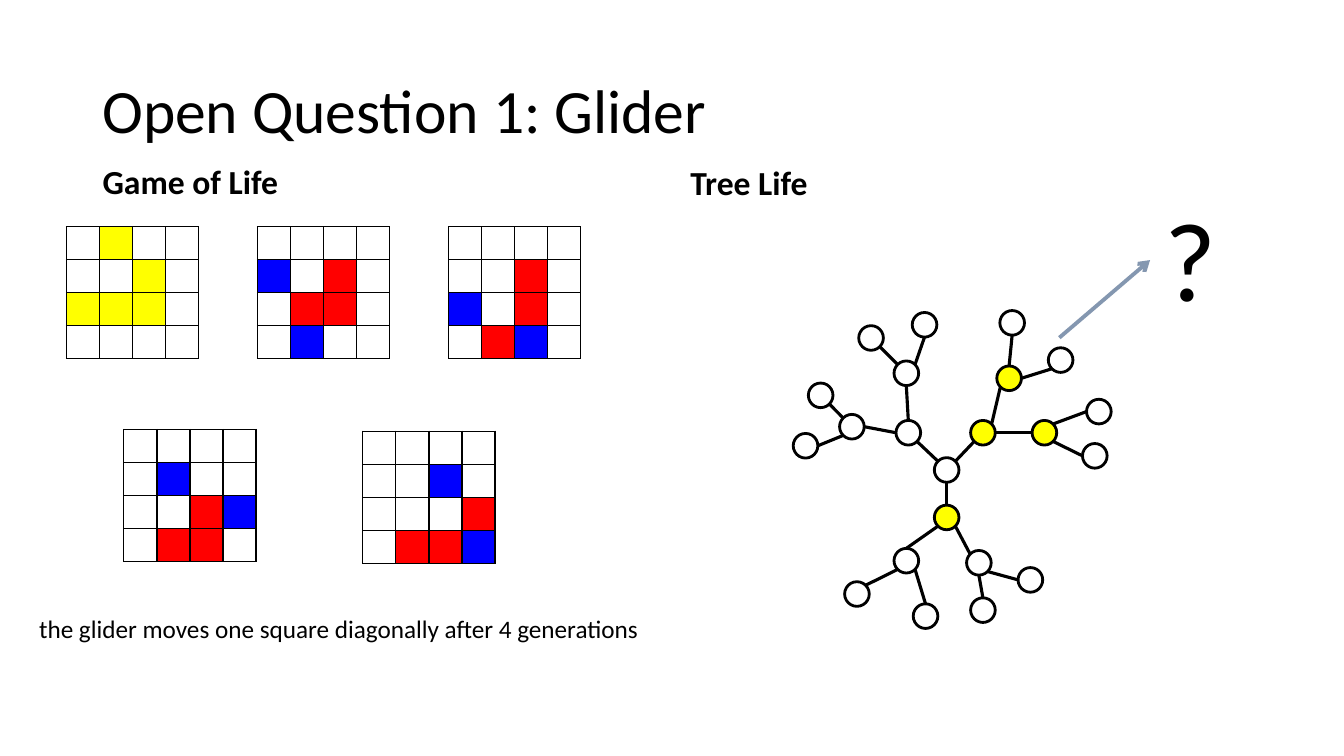
from math import cos, radians, sin

from lxml import etree
from pptx import Presentation
from pptx.dml.color import RGBColor
from pptx.enum.shapes import MSO_CONNECTOR, MSO_SHAPE
from pptx.enum.text import MSO_ANCHOR
from pptx.oxml.ns import qn
from pptx.util import Pt

STRAIGHT = MSO_CONNECTOR.STRAIGHT
OVAL = MSO_SHAPE.OVAL
TOP, MIDDLE, BOTTOM = MSO_ANCHOR.TOP, MSO_ANCHOR.MIDDLE, MSO_ANCHOR.BOTTOM

COLORS = {
    "black": "000000",
    "white": "FFFFFF",
    "alive": "FFFF00",
    "born": "FF0000",
    "died": "0000FF",
    "arrow": "8497B0",
}
FONT = "Calibri"
CELL = 23.6
NODE = 17.6

CELL_STATES = {".": "white", "Y": "alive", "R": "born", "B": "died"}

# Left, top and rows of each generation
TOP_ROW = [
    (".Y..", "..Y.", "YYY.", "...."),
    ("....", "B.R.", ".RR.", ".B.."),
    ("....", "..R.", "B.R.", ".RB."),
]
GENERATIONS = [(136.5 * i, 0, rows) for i, rows in enumerate(TOP_ROW)] + [
    (41, 144.7, ("....", ".B..", "..RB", ".RR.")),
    (211.7, 146, ("....", "..B.", "...R", ".RRB")),
]

# Left and top of each node
TREE_NODES = {
    "root": (100.8, 105.1),
    "trunk": (100.8, 139),
    "left": (73.4, 78.5),
    "left up": (72, 36),
    "left up a": (46.8, 10.8),
    "left up b": (85, 1.4),
    "left out": (33.1, 74.2),
    "left out a": (10.8, 51.8),
    "left out b": (0, 87.8),
    "right": (126.7, 78.5),
    "right up": (145.4, 39.6),
    "right up a": (147.6, 0),
    "right up b": (182.2, 26.6),
    "right out": (170.6, 78.5),
    "right out a": (209.5, 63.4),
    "right out b": (206.6, 95),
    "low left": (72, 169.9),
    "low left a": (36.7, 193.7),
    "low left b": (85.7, 209.5),
    "low right": (123.8, 171.4),
    "low right a": (160.6, 183.6),
    "low right b": (126.7, 205.2),
}
ALIVE_NODES = {"trunk", "right", "right up", "right out"}

# Parent, side it leaves from, child, side it reaches
TREE_EDGES = [
    ("root", "nw", "left", "se"),
    ("root", "ne", "right", "sw"),
    ("root", "s", "trunk", "n"),
    ("left", "n", "left up", "s"),
    ("left", "w", "left out", "e"),
    ("right", "ne", "right up", "sw"),
    ("right", "e", "right out", "w"),
    ("trunk", "sw", "low left", "n"),
    ("trunk", "se", "low right", "nw"),
    ("left up", "nw", "left up a", "se"),
    ("left up", "ne", "left up b", "s"),
    ("left out", "nw", "left out a", "se"),
    ("left out", "sw", "left out b", "e"),
    ("right up", "n", "right up a", "s"),
    ("right up", "e", "right up b", "sw"),
    ("right out", "ne", "right out a", "w"),
    ("right out", "se", "right out b", "w"),
    ("low left", "sw", "low left a", "ne"),
    ("low left", "se", "low left b", "n"),
    ("low right", "se", "low right a", "w"),
    ("low right", "s", "low right b", "n"),
]
SIDES = ["e", "se", "s", "sw", "w", "nw", "n", "ne"]


def rgb(name):
    return RGBColor.from_string(COLORS[name])


def add_text(slide, box, words, size, bold=False, anchor=TOP, wrap=True,
             line_spacing=1.0, before=0):
    frame = slide.shapes.add_textbox(*map(Pt, box)).text_frame
    frame.word_wrap = wrap
    frame.vertical_anchor = anchor
    paragraph = frame.paragraphs[0]
    paragraph.line_spacing = line_spacing
    paragraph.space_before = Pt(before)
    run = paragraph.add_run()
    run.text = words
    run.font.name = FONT
    run.font.size = Pt(size)
    run.font.bold = bold
    run.font.color.rgb = rgb("black")


def add_line(slide, start, end, color, width):
    line = slide.shapes.add_connector(STRAIGHT, *map(Pt, (*start, *end)))
    line.line.color.rgb = rgb(color)
    line.line.width = Pt(width)
    etree.SubElement(line._element.spPr, qn("a:effectLst"))
    return line


def add_border(cell):
    properties = cell._tc.get_or_add_tcPr()
    for position, side in enumerate(("a:lnL", "a:lnR", "a:lnT", "a:lnB")):
        edge = etree.Element(qn(side), w=str(Pt(1)))
        fill = etree.SubElement(edge, qn("a:solidFill"))
        etree.SubElement(fill, qn("a:srgbClr"), val=COLORS["black"])
        properties.insert(position, edge)


def add_generation(slide, left, top, rows):
    side = CELL * len(rows)
    grid = slide.shapes.add_table(
        len(rows), len(rows[0]), Pt(left), Pt(top), Pt(side), Pt(side)).table
    grid.first_row = grid.horz_banding = False
    for line in [*grid.columns]:
        line.width = Pt(CELL)
    for line in [*grid.rows]:
        line.height = Pt(CELL)
    for r, row in enumerate(rows):
        for c, state in enumerate(row):
            cell = grid.cell(r, c)
            cell.margin_top = cell.margin_bottom = 0
            cell.fill.solid()
            cell.fill.fore_color.rgb = rgb(CELL_STATES[state])
            add_border(cell)


def add_game_of_life(slide, left, top):
    add_text(slide, (left + 18.7, top - 57.6, 406, 43.2), "Game of Life", 24,
             bold=True, anchor=BOTTOM, line_spacing=0.9, before=10)
    for dx, dy, rows in GENERATIONS:
        add_generation(slide, left + dx, top + dy, rows)
    add_text(slide, (left - 26.6, top + 272.2, 448.6, 28.8),
             "the glider moves one square diagonally after 4 generations", 18,
             wrap=False)


def node_side(left, top, node, side):
    """Return the point on a node's outline at a compass side."""
    angle = radians(45 * SIDES.index(side))
    x, y = TREE_NODES[node]
    radius = NODE / 2
    return (left + x + radius * (1 + cos(angle)),
            top + y + radius * (1 + sin(angle)))


def add_tree(slide, left, top):
    for name, (x, y) in TREE_NODES.items():
        node = slide.shapes.add_shape(
            OVAL, Pt(left + x), Pt(top + y), Pt(NODE), Pt(NODE))
        node.shadow.inherit = False
        node.line.color.rgb = rgb("black")
        node.line.width = Pt(2)
        if name in ALIVE_NODES:
            node.fill.solid()
            node.fill.fore_color.rgb = rgb("alive")
        else:
            node.fill.background()
    for parent, leaving, child, reaching in TREE_EDGES:
        add_line(slide, node_side(left, top, parent, leaving),
                 node_side(left, top, child, reaching), "black", 2.25)


def add_tree_life(slide, left, top):
    add_text(slide, (left, top, 408.2, 44.6), "Tree Life", 24,
             bold=True, anchor=BOTTOM, line_spacing=0.9, before=10)
    add_tree(slide, left + 80.6, top + 118.1)
    direction = add_line(slide, (left + 270.7, top + 137.5),
                         (left + 335.5, top + 82.1), "arrow", 2.75)
    etree.SubElement(direction.line._get_or_add_ln(), qn("a:tailEnd"),
                     type="arrow")
    add_text(slide, (left + 338.4, top + 28.1, 69.8, 104.4), "?", 80)


def main():
    deck = Presentation()
    deck.slide_width, deck.slide_height = Pt(960), Pt(540)
    slide = deck.slides.add_slide(deck.slide_layouts[6])
    add_text(slide, (66, 28.8, 828, 104.4), "Open Question 1: Glider", 44,
             anchor=MIDDLE, line_spacing=0.9)
    add_game_of_life(slide, 47.5, 162)
    add_tree_life(slide, 486, 103.7)
    deck.save("out.pptx")


if __name__ == "__main__":
    main()
